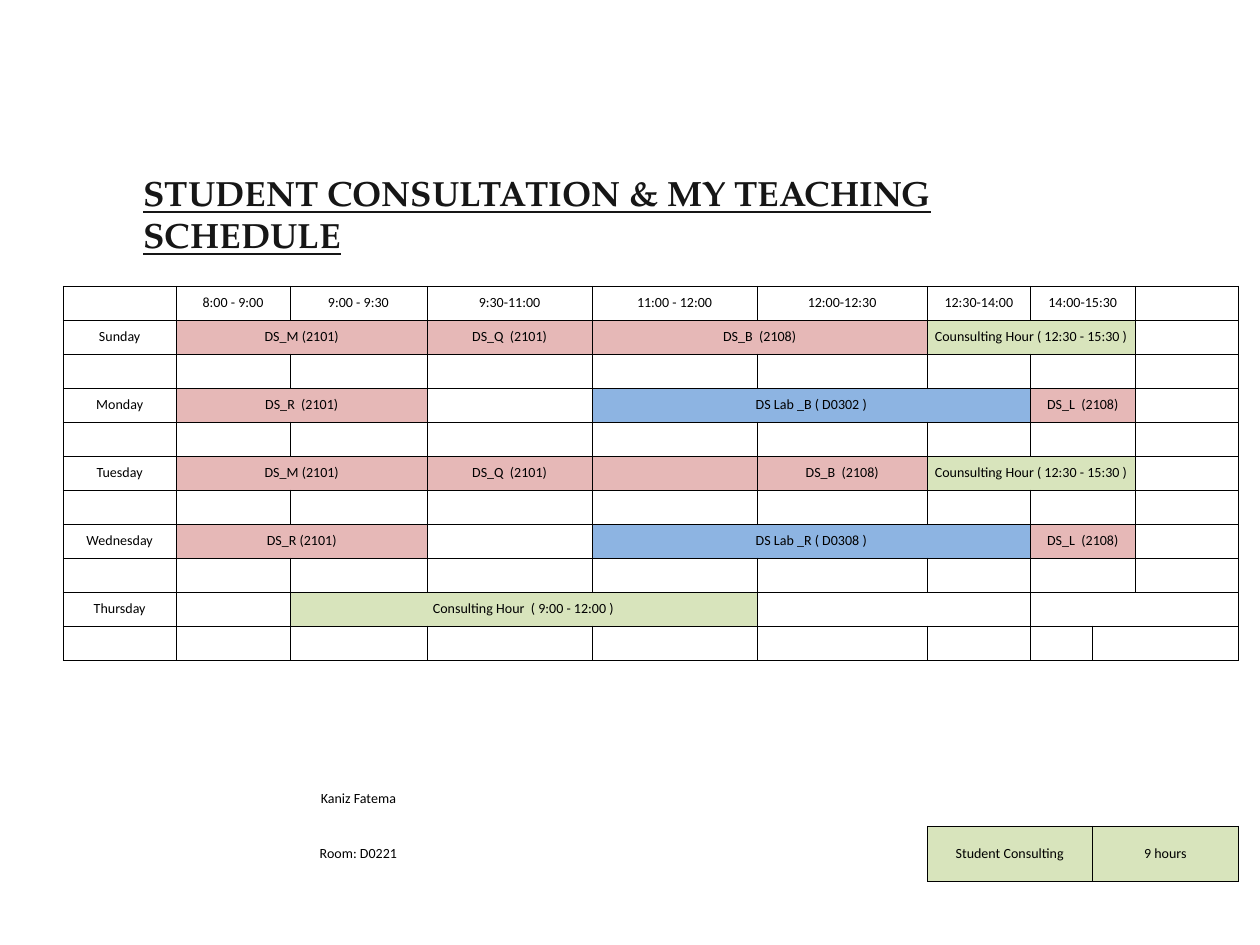
from collections import namedtuple
from dataclasses import dataclass

from lxml import etree
from pptx import Presentation
from pptx import util as u
from pptx.dml.color import RGBColor
from pptx.enum import text
from pptx.oxml.ns import qn

Box = namedtuple("Box", "left top width height")
Booking = namedtuple("Booking", "row column span label fill")


@dataclass(frozen=True)
class Theme:
    title_font: str = "TeX Gyre Pagella"
    body_font: str = "Calibri"
    title_size: int = 20
    body_size: int = 8
    title: str = "161616"
    ink: str = "000000"
    lecture: str = "E6B8B7"
    lab: str = "8DB4E2"
    consulting: str = "D8E4BC"
    border: float = 0.25


THEME = Theme()
PLAIN_STYLE = "{2D5ABB26-0587-4C30-8999-92F81FD0307C}"

COLUMN_SHARES = [90, 90, 109, 131, 131, 135, 82, 49, 34, 82]
GRID_ROWS = range(1, 12)
LEGEND_ROW = 15
ROW_SHARES = [27 if row in GRID_ROWS else 44 for row in range(LEGEND_ROW + 1)]

HOURS = ["8:00 - 9:00", "9:00 - 9:30", "9:30-11:00", "11:00 - 12:00",
         "12:00-12:30", "12:30-14:00", "14:00-15:30"]
DAYS = ["Sunday", "Monday", "Tuesday", "Wednesday", "Thursday"]
SUNDAY, MONDAY, TUESDAY, WEDNESDAY, THURSDAY = range(2, 12, 2)
COUNSEL = "Counsulting Hour ( 12:30 - 15:30 )"

BOOKINGS = [
    Booking(SUNDAY, 1, 2, "DS_M (2101)", THEME.lecture),
    Booking(SUNDAY, 3, 1, "DS_Q  (2101)", THEME.lecture),
    Booking(SUNDAY, 4, 2, "DS_B  (2108)", THEME.lecture),
    Booking(SUNDAY, 6, 3, COUNSEL, THEME.consulting),
    Booking(MONDAY, 1, 2, "DS_R  (2101)", THEME.lecture),
    Booking(MONDAY, 4, 3, "DS Lab _B ( D0302 )", THEME.lab),
    Booking(MONDAY, 7, 2, "DS_L  (2108)", THEME.lecture),
    Booking(TUESDAY, 1, 2, "DS_M (2101)", THEME.lecture),
    Booking(TUESDAY, 3, 1, "DS_Q  (2101)", THEME.lecture),
    Booking(TUESDAY, 4, 1, "", THEME.lecture),
    Booking(TUESDAY, 5, 1, "DS_B  (2108)", THEME.lecture),
    Booking(TUESDAY, 6, 3, COUNSEL, THEME.consulting),
    Booking(WEDNESDAY, 1, 2, "DS_R (2101)", THEME.lecture),
    Booking(WEDNESDAY, 4, 3, "DS Lab _R ( D0308 )", THEME.lab),
    Booking(WEDNESDAY, 7, 2, "DS_L  (2108)", THEME.lecture),
    Booking(THURSDAY, 2, 3, "Consulting Hour  ( 9:00 - 12:00 )", THEME.consulting),
    Booking(THURSDAY, 5, 2, "", None),
    Booking(THURSDAY, 7, 3, "", None),
    Booking(14, 2, 1, "Kaniz Fatema", None),
    Booking(LEGEND_ROW, 2, 1, "Room: D0221", None),
    Booking(LEGEND_ROW, 6, 2, "Student Consulting", THEME.consulting),
    Booking(LEGEND_ROW, 8, 2, "9 hours", THEME.consulting),
]


def slide_box(deck, left, top, width, height):
    """Turn shares of the slide into lengths."""
    return Box(int(left * deck.slide_width), int(top * deck.slide_height),
               int(width * deck.slide_width), int(height * deck.slide_height))


def style_font(font, name, size, color):
    font.name, font.size = name, u.Pt(size)
    font.color.rgb = RGBColor.from_string(color)


def add_title(page, box, label):
    frame = page.shapes.add_textbox(*box).text_frame
    frame.word_wrap = True
    para = frame.paragraphs[0]
    para.text = label
    style_font(para.font, THEME.title_font, THEME.title_size, THEME.title)
    para.font.bold = para.font.underline = True


def set_borders(cell):
    properties = cell._tc.get_or_add_tcPr()
    for index, side in enumerate(("lnL", "lnR", "lnT", "lnB")):
        line = etree.Element(qn(f"a:{side}"), w=str(u.Pt(THEME.border)))
        fill = etree.SubElement(line, qn("a:solidFill"))
        etree.SubElement(fill, qn("a:srgbClr"), val=THEME.ink)
        properties.insert(index, line)


def style_cell(cell):
    cell.fill.background()
    cell.vertical_anchor = text.MSO_ANCHOR.MIDDLE
    cell.margin_left = cell.margin_right = u.Inches(0.01)
    para = cell.text_frame.paragraphs[0]
    para.alignment = text.PP_ALIGN.CENTER
    style_font(para.font, THEME.body_font, THEME.body_size, THEME.ink)
    # An empty cell takes its line height from the end-of-paragraph size.
    ending = para._p.get_or_add_endParaRPr()
    ending.set("sz", str(THEME.body_size * 100))


def place_booking(table, booking):
    cell = table.cell(booking.row, booking.column)
    if booking.span > 1:
        cell.merge(table.cell(booking.row, booking.column + booking.span - 1))
    if booking.label:
        cell.text_frame.paragraphs[0].add_run().text = booking.label
    if booking.fill:
        cell.fill.solid()
        cell.fill.fore_color.rgb = RGBColor.from_string(booking.fill)


def joined_columns():
    """Pair up the narrow columns in rows that have no booking there."""
    taken = {(item.row, item.column + step)
             for item in BOOKINGS for step in range(item.span)}
    for row in range(len(ROW_SHARES)):
        column = 7 if row < THURSDAY else 8
        if (row, column) not in taken:
            label = HOURS[-1] if row == 1 else ""
            yield Booking(row, column, 2, label, None)


def add_schedule(page, box):
    table = page.shapes.add_table(len(ROW_SHARES), len(COLUMN_SHARES), *box).table
    table.first_row = table.horz_banding = False
    table._tbl.tblPr.find(qn("a:tableStyleId")).text = PLAIN_STYLE
    for column, share in zip(table.columns, COLUMN_SHARES):
        column.width = box.width * share // sum(COLUMN_SHARES)
    for row, share in zip(table.rows, ROW_SHARES):
        row.height = box.height * share // sum(ROW_SHARES)
    for cell in table.iter_cells():
        style_cell(cell)

    hours = [Booking(1, index, 1, hour, None)
             for index, hour in enumerate(HOURS[:-1], start=1)]
    days = [Booking(row, 0, 1, day, None)
            for row, day in zip(range(SUNDAY, THURSDAY + 1, 2), DAYS)]
    for booking in [*hours, *days, *BOOKINGS, *joined_columns()]:
        place_booking(table, booking)

    for row in [*GRID_ROWS, LEGEND_ROW]:
        for column in range(6 if row == LEGEND_ROW else 0, len(COLUMN_SHARES)):
            cell = table.cell(row, column)
            if not cell.is_spanned:
                set_borders(cell)


def main():
    deck = Presentation()
    deck.slide_width, deck.slide_height = u.Inches(10), u.Inches(7.5)
    page = deck.slides.add_slide(deck.slide_layouts[6])
    add_title(page, slide_box(deck, 0.104, 0.175, 0.797, 0.103),
              "STUDENT CONSULTATION & MY TEACHING SCHEDULE")
    add_schedule(page, slide_box(deck, 0.05, 0.244, 0.933, 0.689))
    deck.save("out.pptx")


if __name__ == "__main__":
    main()
